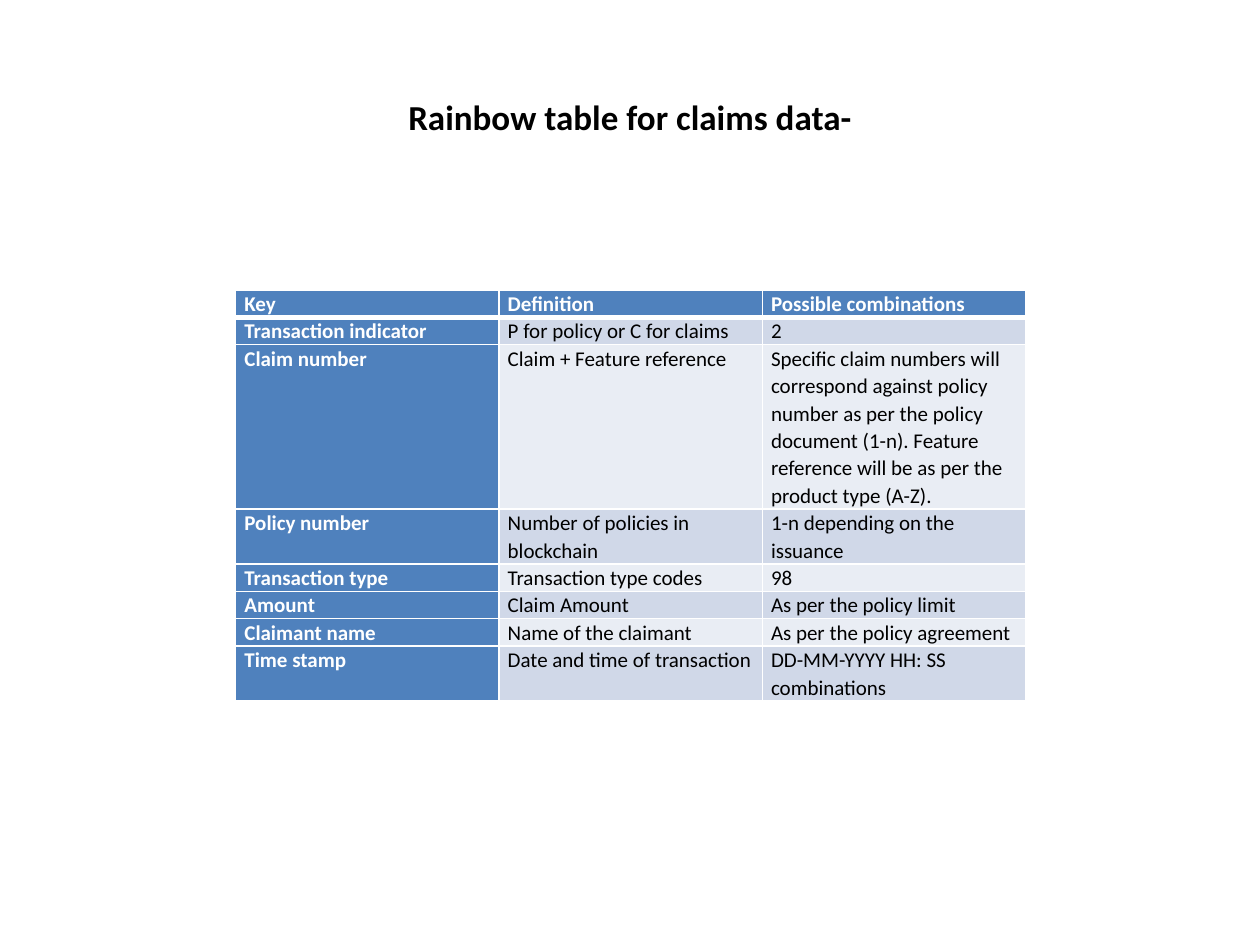
import pptx
import pptx.util
import pptx.dml.color
import pptx.enum.text
import pptx.oxml
import pptx.oxml.ns

Inches = pptx.util.Inches
Pt = pptx.util.Pt
RGBColor = pptx.dml.color.RGBColor

WHITE = RGBColor(0xFF, 0xFF, 0xFF)
BLACK = RGBColor(0x00, 0x00, 0x00)
BLUE = RGBColor(0x4F, 0x81, 0xBD)
BANDS = (RGBColor(0xE9, 0xED, 0xF4), RGBColor(0xD0, 0xD8, 0xE8))

TITLE = "Rainbow table for claims data-"
ROWS = [
    ("Key", "Definition", "Possible combinations"),
    ("Transaction indicator", "P for policy or C for claims", "2"),
    ("Claim number", "Claim + Feature reference",
     "Specific claim numbers will correspond against policy number as per the "
     "policy document (1-n). Feature reference will be as per the product type (A-Z)."),
    ("Policy number", "Number of policies in blockchain", "1-n depending on the issuance"),
    ("Transaction type", "Transaction type codes", "98"),
    ("Amount", "Claim Amount", "As per the policy limit"),
    ("Claimant name", "Name of the claimant", "As per the policy agreement"),
    ("Time stamp", "Date and time of transaction", "DD-MM-YYYY HH: SS combinations"),
]
ROW_LINES = (1, 1, 6, 2, 1, 1, 1, 2)
LINE_HEIGHT = 0.21
COLUMN_WIDTH = 2.09
CELL_FORMAT = {
    "margin_left": Inches(0.07),
    "margin_right": Inches(0.07),
    "margin_top": 0,
    "margin_bottom": 0,
    "vertical_anchor": pptx.enum.text.MSO_ANCHOR.TOP,
}


def set_format(target, values):
    for name, value in values.items():
        setattr(target, name, value)


def write_text(para, text, size, color, bold):
    span = para.add_run()
    span.text = text
    set_format(span.font, {"name": "Calibri", "size": Pt(size), "bold": bold})
    span.font.color.rgb = color


def add_borders(cell, widths):
    properties = cell._tc.get_or_add_tcPr()
    for side, width in widths.items():
        properties.append(pptx.oxml.parse_xml(
            f'<a:ln{side} {pptx.oxml.ns.nsdecls("a")} w="{Pt(width)}">'
            f'<a:solidFill><a:srgbClr val="{WHITE}"/></a:solidFill></a:ln{side}>'))


deck = pptx.Presentation()
set_format(deck, {"slide_width": Inches(10), "slide_height": Inches(7.5)})
page = deck.slides.add_slide(deck.slide_layouts[5])

title = page.shapes.title
set_format(title, {"left": Inches(0.5), "top": Inches(0.3),
                   "width": Inches(9), "height": Inches(1.25)})
title.text_frame.vertical_anchor = pptx.enum.text.MSO_ANCHOR.MIDDLE
title_para = title.text_frame.paragraphs[0]
title_para.alignment = pptx.enum.text.PP_ALIGN.CENTER
write_text(title_para, TITLE, 20, BLACK, True)

table = page.shapes.add_table(
    len(ROWS), len(ROWS[0]), Inches(1.87), Inches(2.3),
    Inches(COLUMN_WIDTH * len(ROWS[0])), Inches(LINE_HEIGHT * sum(ROW_LINES))).table
table.first_col = True
for column in table.columns:
    column.width = Inches(COLUMN_WIDTH)

for row_index, (texts, lines) in enumerate(zip(ROWS, ROW_LINES)):
    table.rows[row_index].height = Inches(LINE_HEIGHT * lines)
    for column_index, text in enumerate(texts):
        cell = table.cell(row_index, column_index)
        heading = row_index == 0 or column_index == 0
        set_format(cell, CELL_FORMAT)
        add_borders(cell, {"L": 1, "R": 1,
                           "T": 3 if row_index == 1 else 1,
                           "B": 3 if row_index == 0 else 1})
        cell.fill.solid()
        cell.fill.fore_color.rgb = BLUE if heading else BANDS[row_index % 2]
        para = cell.text_frame.paragraphs[0]
        para.line_spacing = 1.07
        write_text(para, text, 12, WHITE if heading else BLACK, heading)

deck.save("out.pptx")
